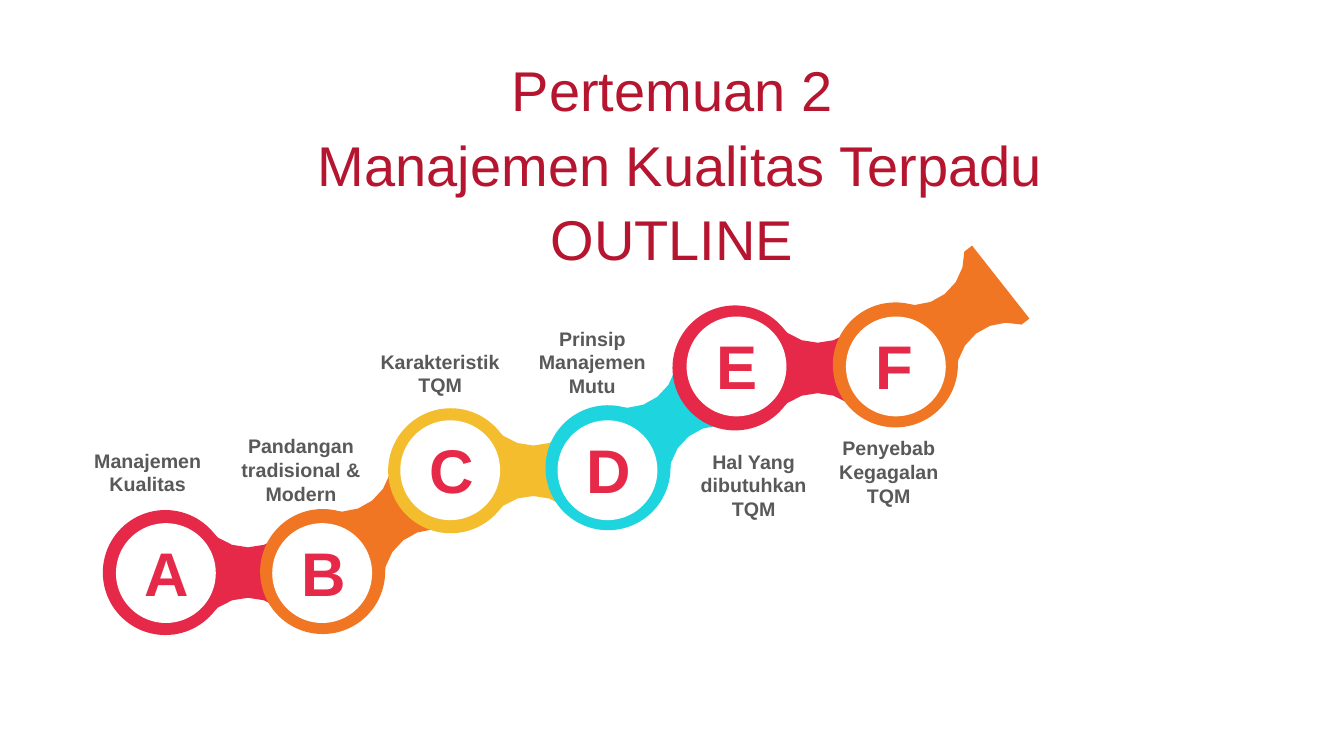
from math import cos, radians, sin

from pptx import Presentation
from pptx.dml.color import RGBColor
from pptx.enum.shapes import MSO_SHAPE
from pptx.enum.text import MSO_ANCHOR, MSO_AUTO_SIZE, PP_ALIGN
from pptx.util import Pt

PX = 9144
THEME = {
    "font": "Arial",
    "title": "B61530", "letter": "E62949", "caption": "595959", "disc": "FFFFFF",
    "red": "E62949", "orange": "F07624", "yellow": "F4BD2D", "cyan": "1ED4DE",
    "title_size": 40, "letter_size": 44, "caption_size": 14,
}
RING, DISC, REACH = 124, 99, 82
NECK_WIDTH, NECK_LENGTH, ARC_CENTRE, ARC_RADIUS = 92, 102, 76, 51
LEVEL, RISING = 270, 231.8

STEPS = [
    ("A", "red", LEVEL, (102, 506), (115, 519), (133, 526)),
    ("B", "orange", RISING, (258, 505), (270, 519), (289, 526)),
    ("C", "yellow", LEVEL, (385, 405), (397, 417), (416, 424)),
    ("D", "cyan", RISING, (541, 402), (553, 417), (572, 424)),
    ("E", "red", LEVEL, (667, 303), (681, 314), (701, 320)),
    ("F", "orange", RISING, (826, 300), (839, 314), (857, 320)),
]
TOPICS = [
    ("Manajemen Kualitas", 67, 440, 57),
    ("Karakteristik TQM", 357, 342, 57),
    ("Pandangan tradisional & Modern", 219, 426, 81),
    ("Prinsip Manajemen Mutu", 508, 319, 81),
    ("Hal Yang dibutuhkan TQM", 668, 441, 81),
    ("Penyebab Kegagalan TQM", 802, 428, 81),
]

deck = Presentation()
deck.slide_width, deck.slide_height = 1333 * PX, 750 * PX
slide = deck.slides.add_slide(deck.slide_layouts[6])


def add_text(lines, left, top, width, height, *, size, color, bold=False, inset=10,
             anchor=MSO_ANCHOR.TOP, grow=True, line_spacing=None, space_before=None):
    box = slide.shapes.add_textbox(left * PX, top * PX, width * PX, height * PX)
    frame = box.text_frame
    frame.word_wrap = True
    frame.auto_size = MSO_AUTO_SIZE.SHAPE_TO_FIT_TEXT if grow else MSO_AUTO_SIZE.NONE
    frame.vertical_anchor = anchor
    frame.margin_left = frame.margin_right = inset * PX
    frame.margin_top = frame.margin_bottom = 5 * PX
    frame.text = "\n".join(lines)
    for paragraph in frame.paragraphs:
        paragraph.alignment = PP_ALIGN.CENTER
        paragraph.line_spacing = line_spacing
        paragraph.space_before = space_before
        font = paragraph.runs[0].font
        font.name, font.size, font.bold = THEME["font"], Pt(THEME[size]), bold
        font.color.rgb = RGBColor.from_string(THEME[color])


def paint(shape, color, rotation=0):
    shape.fill.solid()
    shape.fill.fore_color.rgb = RGBColor.from_string(THEME[color])
    shape.line.fill.background()
    shape.shadow.inherit = False
    shape.rotation = rotation


add_text(["Pertemuan 2", " Manajemen Kualitas Terpadu", "OUTLINE"], 34, 127, 1265, 79,
         size="title_size", color="title", anchor=MSO_ANCHOR.MIDDLE, grow=False,
         line_spacing=0.9, space_before=Pt(10))

neck_outline = []
for side in (1, -1):
    neck_outline.append((side * NECK_WIDTH / 2, side * NECK_LENGTH / 2))
    for degrees in range(36, 145, 18):
        angle = radians(degrees)
        neck_outline.append((side * (ARC_CENTRE - ARC_RADIUS * sin(angle)),
                             side * ARC_RADIUS * cos(angle)))
    neck_outline.append((side * NECK_WIDTH / 2, -side * NECK_LENGTH / 2))

for letter, color, rotation, (ring_left, ring_top), disc_corner, letter_corner in STEPS:
    climb = radians(rotation - LEVEL)
    neck_x = ring_left + RING / 2 + REACH * cos(climb)
    neck_y = ring_top + RING / 2 + REACH * sin(climb)
    points = [((neck_x + x) * PX, (neck_y + y) * PX) for x, y in neck_outline]
    builder = slide.shapes.build_freeform(*points[0])
    builder.add_line_segments(points[1:], close=True)
    paint(builder.convert_to_shape(), color, rotation)
    ring = slide.shapes.add_shape(MSO_SHAPE.OVAL, ring_left * PX, ring_top * PX,
                                  RING * PX, RING * PX)
    paint(ring, color, rotation)

for letter, color, rotation, ring_corner, (disc_left, disc_top), letter_corner in STEPS:
    disc = slide.shapes.add_shape(MSO_SHAPE.OVAL, disc_left * PX, disc_top * PX,
                                  DISC * PX, DISC * PX)
    paint(disc, "disc")

for letter, color, rotation, ring_corner, disc_corner, letter_corner in STEPS:
    add_text([letter], *letter_corner, 61, 84,
             size="letter_size", color="letter", bold=True)

for topic, left, top, height in TOPICS:
    add_text([topic], left, top, 159, height,
             size="caption_size", color="caption", bold=True, inset=12)

deck.save("out.pptx")
